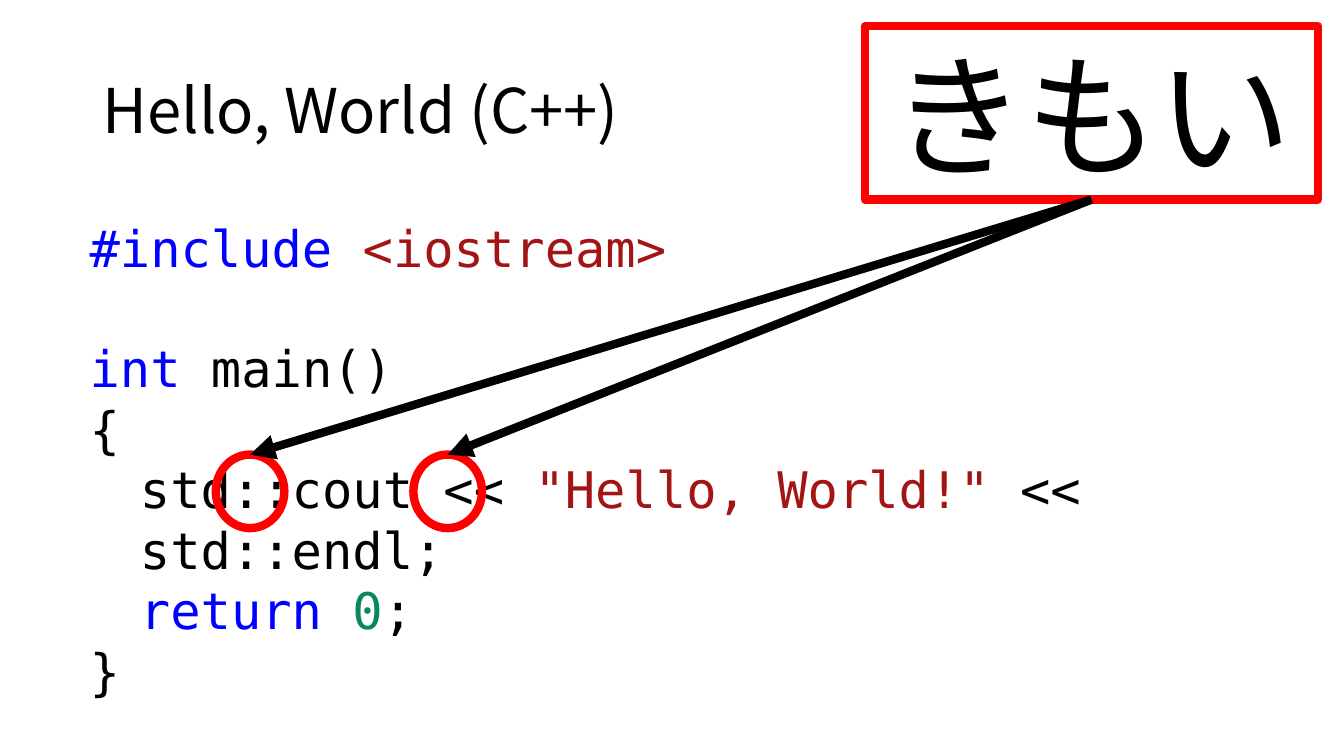
from lxml.etree import SubElement
from pptx import Presentation
from pptx.dml.color import RGBColor
from pptx.enum.shapes import MSO_CONNECTOR as CONNECTOR, MSO_SHAPE as SHAPE
from pptx.enum.text import MSO_ANCHOR as ANCHOR, MSO_AUTO_SIZE as AUTO_SIZE, PP_ALIGN as ALIGN
from pptx.oxml.ns import qn
from pptx.util import Inches, Pt

BLACK = RGBColor(0x00, 0x00, 0x00)
WHITE = RGBColor(0xFF, 0xFF, 0xFF)
RED = RGBColor(0xFF, 0x00, 0x00)
KEYWORD = RGBColor(0x00, 0x00, 0xFF)
STRING = RGBColor(0xA3, 0x15, 0x15)
NUMBER = RGBColor(0x09, 0x88, 0x5A)

TEXT_FONT = "Noto Sans CJK JP"
CODE_FONT = "DejaVu Sans Mono"
STROKE = Pt(6)
CODE_LINE = Pt(43)

TITLE = "Hello, World (C++)"
REMARK = "きもい"

# (indent level, blank lines before, coloured pieces)
CODE = [
    (0, 0, [("#include ", KEYWORD), ("<iostream>", STRING)]),
    (0, 1, [("int", KEYWORD), (" main()", BLACK)]),
    (0, 0, [("{", BLACK)]),
    (1, 0, [("std::cout << ", BLACK), ('"Hello, World!"', STRING), (" << std::endl;", BLACK)]),
    (1, 0, [("return ", KEYWORD), ("0", NUMBER), (";", BLACK)]),
    (0, 0, [("}", BLACK)]),
]
CIRCLE_LEFTS = [2.14, 4.1]


def format_run(run, font, size, color):
    run.font.name = font
    run.font.size = Pt(size)
    run.font.color.rgb = color
    SubElement(run.font._element, qn("a:ea")).set("typeface", font)


def add_code(slide):
    box = slide.shapes.add_textbox(Inches(0.79), Inches(2.1), Inches(12.54), Inches(4.34))
    frame = box.text_frame
    frame.word_wrap = True
    frame.auto_size = AUTO_SIZE.SHAPE_TO_FIT_TEXT
    for index, (level, blank_lines, pieces) in enumerate(CODE):
        line = frame.add_paragraph() if index else frame.paragraphs[0]
        if level:
            line.level = level
            properties = line._p.get_or_add_pPr()
            properties.set("marL", str(Inches(0.5) * level))
            properties.set("indent", "0")
        if blank_lines:
            line.space_before = CODE_LINE * blank_lines
        for text, color in pieces:
            run = line.add_run()
            run.text = text
            format_run(run, CODE_FONT, 36, color)


def add_outlined(slide, kind, left, top, width, height):
    shape = slide.shapes.add_shape(kind, Inches(left), Inches(top), Inches(width), Inches(height))
    shape.shadow.inherit = False
    shape.line.color.rgb = RED
    shape.line.width = STROKE
    return shape


def add_arrow(slide, source, target):
    """Draw an arrow from the bottom of source to the top of target."""
    arrow = slide.shapes.add_connector(CONNECTOR.STRAIGHT, 0, 0, 0, 0)
    arrow.begin_connect(source, 2)
    arrow.end_connect(target, 0)
    arrow.line.color.rgb = BLACK
    arrow.line.width = STROKE
    SubElement(arrow.line._get_or_add_ln(), qn("a:tailEnd")).set("type", "triangle")
    SubElement(arrow._element.spPr, qn("a:effectLst"))


def main():
    deck = Presentation()
    deck.slide_width, deck.slide_height = Inches(13.33), Inches(7.5)
    slide = deck.slides.add_slide(deck.slide_layouts[5])

    title = slide.shapes.title
    title.left, title.top = Inches(0.92), Inches(0.4)
    title.width, title.height = Inches(11.5), Inches(1.45)
    title.text_frame.text = TITLE
    title.text_frame.vertical_anchor = ANCHOR.MIDDLE
    heading = title.text_frame.paragraphs[0]
    heading.alignment = ALIGN.LEFT
    heading.line_spacing = 0.9
    format_run(heading.runs[0], TEXT_FONT, 44, BLACK)

    add_code(slide)

    remark = add_outlined(slide, SHAPE.RECTANGLE, 8.58, 0.26, 4.49, 1.72)
    remark.fill.solid()
    remark.fill.fore_color.rgb = WHITE
    remark.text_frame.text = REMARK
    remark.text_frame.vertical_anchor = ANCHOR.MIDDLE
    label = remark.text_frame.paragraphs[0]
    label.alignment = ALIGN.CENTER
    format_run(label.runs[0], TEXT_FONT, 96, BLACK)

    circles = [add_outlined(slide, SHAPE.OVAL, left, 4.51, 0.68, 0.73) for left in CIRCLE_LEFTS]
    for circle in circles:
        circle.fill.background()
    for circle in circles:
        add_arrow(slide, remark, circle)

    deck.save("out.pptx")


if __name__ == "__main__":
    main()
